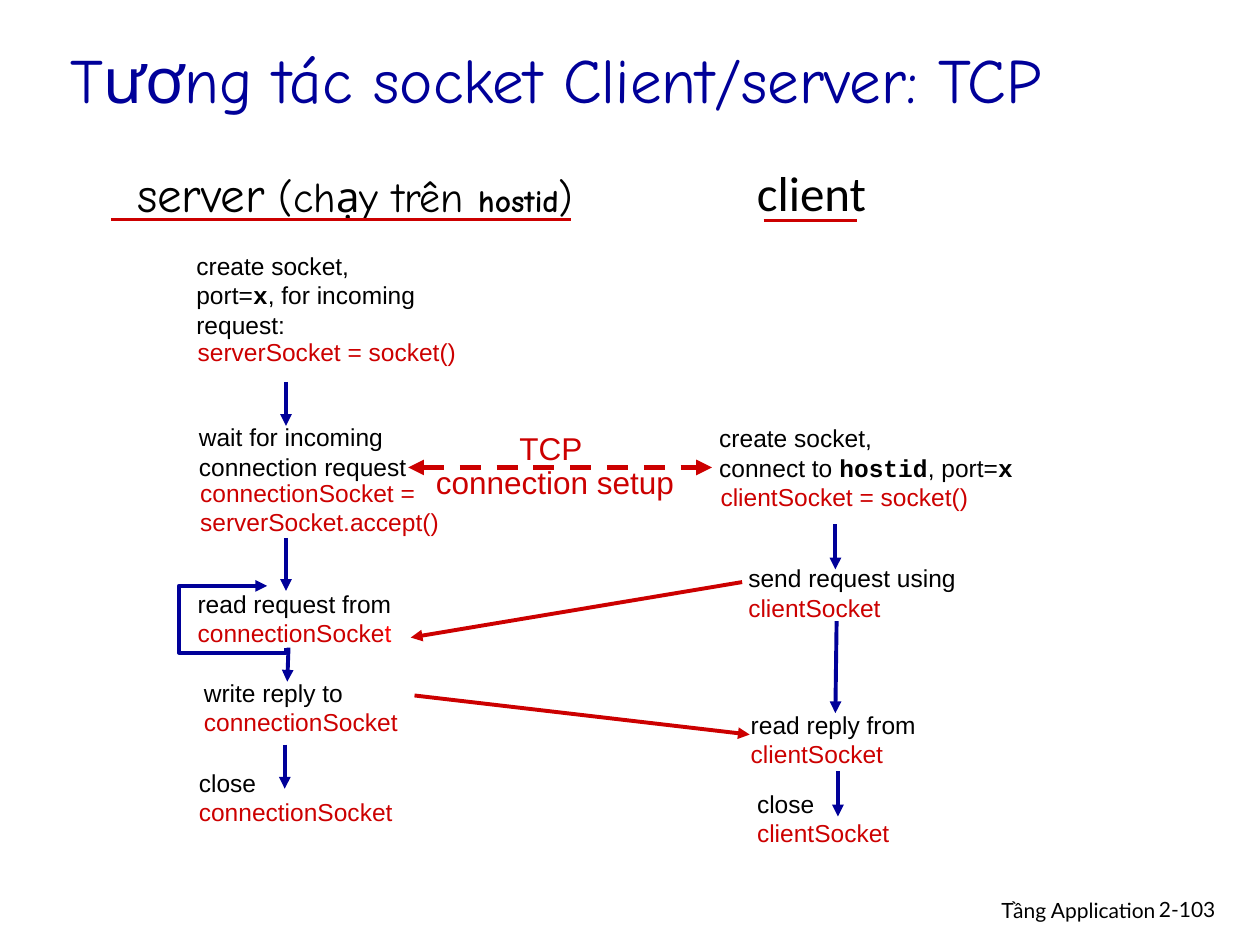
from pptx import Presentation
from pptx.dml.color import RGBColor
from pptx.enum.dml import MSO_LINE_DASH_STYLE as Dash
from pptx.enum.shapes import MSO_CONNECTOR as Connector
from pptx.enum.text import MSO_ANCHOR as Anchor, MSO_AUTO_SIZE as AutoSize, PP_ALIGN as Align
from pptx.oxml.ns import qn
from pptx.util import Inches, Pt
from lxml.etree import SubElement

BLACK, BLUE, RED, BRIGHT_RED = "000000", "000099", "CC0000", "FF0000"


def color(hex_text):
    return RGBColor.from_string(hex_text)


def code(text):
    """A run of bold fixed-width text."""
    return text, {"font": "Courier New", "bold": True}


def red(text):
    return text, {"ink": RED}


class SocketSlide:
    def __init__(self, presentation, font="Arial", size=14, ink=BLACK):
        self.slide = presentation.slides.add_slide(presentation.slide_layouts[6])
        self.style = {"font": font, "size": size, "ink": ink, "bold": False}

    def text(self, box, *paragraphs, wrap=False, grow=True, anchor=Anchor.MIDDLE,
             align=Align.LEFT, spacing=None, **style):
        """Each paragraph is a list of runs: plain strings or (string, format) pairs."""
        shape = self.slide.shapes.add_textbox(*map(Inches, box))
        frame = shape.text_frame
        frame.word_wrap = wrap
        frame.auto_size = AutoSize.SHAPE_TO_FIT_TEXT if grow else AutoSize.NONE
        frame.vertical_anchor = anchor
        for index, runs in enumerate(paragraphs):
            paragraph = frame.paragraphs[0] if index == 0 else frame.add_paragraph()
            paragraph.alignment = align
            if spacing:
                paragraph.line_spacing = spacing
            for item in runs:
                words, changes = (item, {}) if isinstance(item, str) else item
                look = {**self.style, **style, **changes}
                run = paragraph.add_run()
                run.text = words
                run.font.name = look["font"]
                run.font.size = Pt(look["size"])
                run.font.bold = look["bold"]
                run.font.color.rgb = color(look["ink"])

    def stroke(self, line, ink, width, head=False, tail=False, dashed=False):
        line.color.rgb = color(ink)
        line.width = Pt(width)
        if dashed:
            line.dash_style = Dash.DASH
        for tag, wanted in (("a:headEnd", head), ("a:tailEnd", tail)):
            if wanted:
                SubElement(line._get_or_add_ln(), qn(tag), type="triangle")

    def line(self, start, end, ink=BLUE, width=2.25, **ends):
        connector = self.slide.shapes.add_connector(
            Connector.STRAIGHT, *map(Inches, (*start, *end)))
        self.stroke(connector.line, ink, width, **ends)
        SubElement(connector._element.spPr, qn("a:effectLst"))

    def arrow(self, start, end, ink=BLUE):
        self.line(start, end, ink, tail=True)

    def loop(self, start, *points):
        """An open bent arrow through the given points."""
        builder = self.slide.shapes.build_freeform(*map(Inches, start))
        builder.add_line_segments(
            [(Inches(x), Inches(y)) for x, y in points], close=False)
        shape = builder.convert_to_shape()
        shape.shadow.inherit = False
        shape.fill.background()
        self.stroke(shape.line, BLUE, 2.25, tail=True)


def main():
    presentation = Presentation()
    presentation.slide_width, presentation.slide_height = Inches(10), Inches(7.5)
    page = SocketSlide(presentation)

    footer = {"font": "Lato", "size": 12, "wrap": True, "grow": False, "anchor": Anchor.TOP}
    page.text((6.1, 7.07, 3.17, 0.31), ["Tầng Application"], align=Align.RIGHT, **footer)
    page.text((9.1, 7.07, 0.74, 0.3), ["2-103"], **footer)
    page.text((0.46, 0.1, 9.11, 1.04), ["Tương tác socket Client/server: TCP"],
              font="Comic Neue", size=36, ink=BLUE, wrap=True, grow=False)

    # Column headings
    page.text((0.98, 1.25, 3.68, 0.57),
              [("server", {"size": 28}), " (chạy trên ",
               ("hostid", {"size": 18, "bold": True}), ")"],
              font="Comic Neue", size=24, align=Align.CENTER)
    page.text((5.85, 1.24, 1.18, 0.57), ["client"],
              font="Calibri", size=28, align=Align.CENTER)
    page.line((0.88, 1.74), (4.53, 1.74), RED, 1.5)
    page.line((6.06, 1.75), (6.8, 1.75), RED, 1.5)

    # Socket creation and connection
    page.text((1.46, 1.94, 2.11, 0.8), ["create socket,"],
              ["port=", code("x"), ", for incoming request:"], wrap=True)
    page.text((1.47, 2.62, 2.57, 0.34), ["serverSocket = socket()"], ink=RED, wrap=True)
    page.text((1.48, 3.3, 1.85, 0.57), ["wait for incoming"], ["connection request"])
    page.text((1.49, 3.74, 2.2, 0.57), ["connectionSocket ="],
              ["serverSocket.accept()"], ink=RED, wrap=True)
    page.text((5.61, 3.31, 2.53, 0.57), ["create socket,"],
              ["connect to ", code("hostid"), ", port=", code("x")])
    page.text((5.62, 3.77, 2.58, 0.34), ["clientSocket = socket()"], ink=RED, wrap=True)
    page.line((3.24, 3.71), (5.65, 3.71), RED, 3, head=True, tail=True, dashed=True)
    page.text((3.36, 3.39, 2.09, 0.64), ["TCP "], ["connection setup"],
              size=18, ink=RED, align=Align.CENTER, spacing=0.9)

    # Steps that name an action and the socket it uses
    server, client = [red("connectionSocket")], [red("clientSocket")]
    steps = [
        (1.47, 4.62, 1.74, "read request from",
         [red("connectionSocke"), ("t", {"ink": BRIGHT_RED})]),
        (1.52, 5.33, 1.74, "write reply to", server),
        (1.48, 6.04, 1.74, "close", server),
        (5.84, 4.42, 1.85, "send request using", client),
        (5.86, 5.58, 1.51, "read reply from", client),
        (5.91, 6.21, 1.25, "close", client),
    ]
    for left, top, width, action, socket in steps:
        page.text((left, top, width, 0.57), [action], socket)

    # Order of steps on each side
    for start, end in [
        ((2.27, 3.03), (2.27, 3.38)), ((2.27, 4.27), (2.27, 4.69)),
        ((2.29, 5.14), (2.28, 5.41)), ((2.26, 5.91), (2.26, 6.26)),
        ((6.63, 4.16), (6.63, 4.52)), ((6.64, 4.93), (6.63, 5.66)),
        ((6.65, 6.12), (6.65, 6.48)),
    ]:
        page.arrow(start, end)
    page.loop((2.27, 5.14), (2.27, 5.18), (1.42, 5.18), (1.42, 4.65), (2.12, 4.65))

    # Messages between client and server
    page.arrow((5.89, 4.62), (3.26, 5.06), RED)
    page.arrow((3.29, 5.52), (5.95, 5.83), RED)

    presentation.save("out.pptx")


if __name__ == "__main__":
    main()
